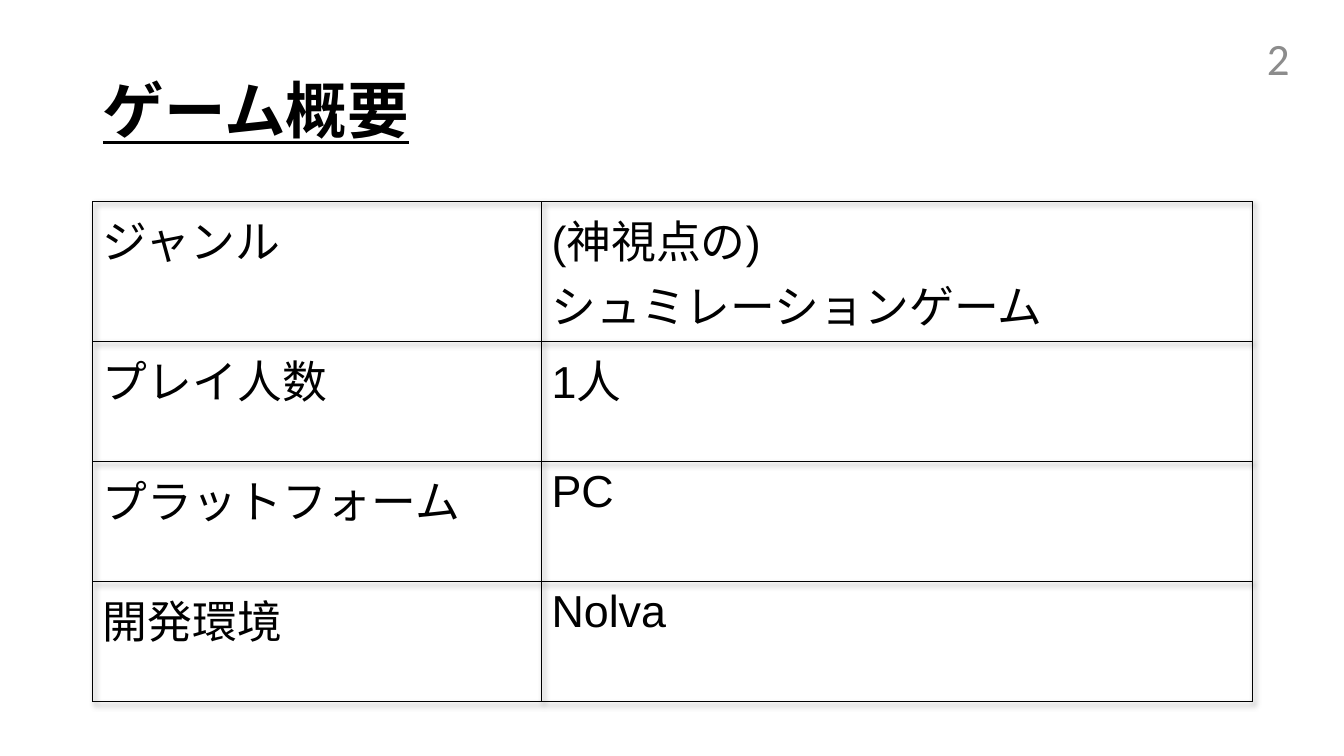
from lxml import etree
from pptx import Presentation
from pptx.dml.color import RGBColor
from pptx.enum import shapes, text
from pptx.oxml import parse_xml
from pptx.oxml.ns import qn
from pptx.util import Inches, Pt

TITLE = "ゲーム概要"
ROWS = [
    ("ジャンル", "(神視点の)\nシュミレーションゲーム"),
    ("プレイ人数", "1人"),
    ("プラットフォーム", "PC"),
    ("開発環境", "Nolva"),
]
PAGE = "2"
COLS = (4.45, 7.05)
ROW_H = 1.19
LEFT, TOP = 0.92, 2

BLACK = RGBColor(0, 0, 0)
WHITE = RGBColor(0xFF, 0xFF, 0xFF)
GREY = RGBColor(0x8C, 0x8C, 0x8C)
NS = 'xmlns:a="http://schemas.openxmlformats.org/drawingml/2006/main"'
SHADOW = (f'<a:effectLst {NS}><a:outerShdw blurRad="50800" dist="38100" '
          'dir="2700000" algn="tl" rotWithShape="0"><a:srgbClr val="000000">'
          '<a:alpha val="40000"/></a:srgbClr></a:outerShdw></a:effectLst>')


def style(par, size, color, name="Arial"):
    font = par.font
    font.name, font.size, font.color.rgb = name, Pt(size), color


def border(cell):
    props = cell._tc.get_or_add_tcPr()
    for i, side in enumerate(("lnL", "lnR", "lnT", "lnB")):
        props.insert(i, parse_xml(
            f'<a:{side} {NS} w="12700"><a:solidFill><a:srgbClr val="{BLACK}"/>'
            f'</a:solidFill></a:{side}>'))


def add_panel(slide):
    panel = slide.shapes.add_shape(
        shapes.MSO_SHAPE.RECTANGLE,
        Inches(0.15), Inches(0.13), Inches(13.04), Inches(7.2))
    panel.shadow.inherit = False
    panel.fill.solid()
    panel.fill.fore_color.rgb = WHITE
    tint = panel._element.spPr.find(qn("a:solidFill"))[0]
    etree.SubElement(tint, qn("a:alpha")).set("val", "92000")
    panel.line.fill.background()
    slide.shapes._spTree.insert(2, panel._element)  # send to back


def add_title(slide):
    title = slide.shapes.title
    title.left, title.top = Inches(LEFT), Inches(0.4)
    title.width, title.height = Inches(sum(COLS)), Inches(1.45)
    title.text_frame.text = TITLE
    title.text_frame.vertical_anchor = text.MSO_ANCHOR.MIDDLE
    par = title.text_frame.paragraphs[0]
    par.alignment = text.PP_ALIGN.LEFT
    par.line_spacing = 0.9
    style(par, 44, BLACK)
    par.font.bold = par.font.underline = True


def add_grid(slide):
    frame = slide.shapes.add_table(
        len(ROWS), len(COLS), Inches(LEFT), Inches(TOP),
        Inches(sum(COLS)), Inches(ROW_H * len(ROWS)))
    table = frame.table
    table.first_row = table.horz_banding = False
    table._tbl.tblPr.insert(0, parse_xml(SHADOW))
    for col, width in zip(table.columns, COLS):
        col.width = Inches(width)
    for r, row in enumerate(ROWS):
        table.rows[r].height = Inches(ROW_H)
        for c, words in enumerate(row):
            cell = table.cell(r, c)
            cell.text = words
            cell.fill.background()
            border(cell)
            for par in cell.text_frame.paragraphs:
                style(par, 32, BLACK)


def add_page(slide):
    box = slide.shapes.add_textbox(
        Inches(9.89), Inches(0.37), Inches(3), Inches(0.4))
    frame = box.text_frame
    frame.word_wrap = True
    frame.vertical_anchor = text.MSO_ANCHOR.MIDDLE
    frame.text = PAGE
    par = frame.paragraphs[0]
    par.alignment = text.PP_ALIGN.RIGHT
    style(par, 32, GREY, "Calibri")


def main():
    deck = Presentation()
    deck.slide_width, deck.slide_height = Inches(13.33), Inches(7.5)
    slide = deck.slides.add_slide(deck.slide_layouts[5])
    add_panel(slide)
    add_title(slide)
    add_grid(slide)
    add_page(slide)
    deck.save("out.pptx")


if __name__ == "__main__":
    main()
